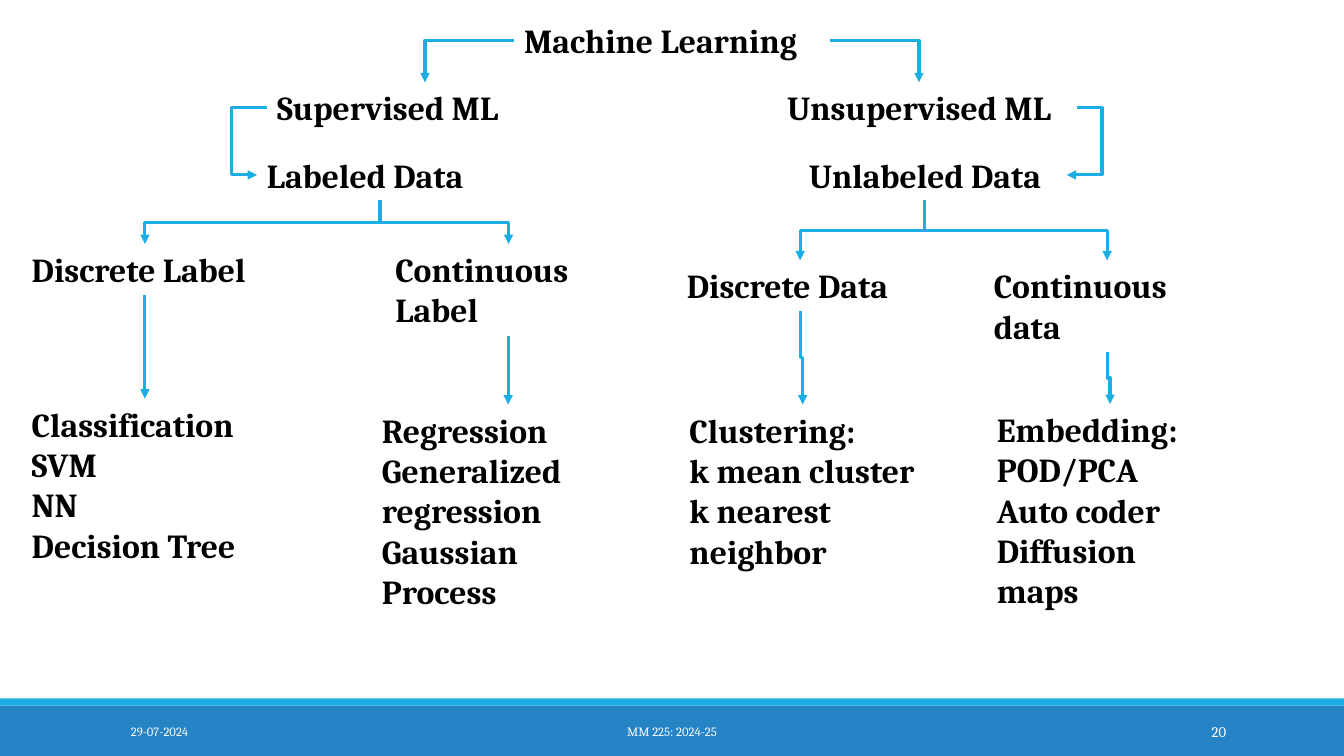
"""Build the slide that maps the branches of machine learning."""
import dataclasses
import enum

import lxml.etree
import pptx
import pptx.dml.color
import pptx.enum.shapes
import pptx.enum.text
import pptx.oxml.ns
import pptx.shapes.autoshape
import pptx.shapes.connector
import pptx.slide
import pptx.util

SLIDE_WIDTH = pptx.util.Inches(13.33)
SLIDE_HEIGHT = pptx.util.Inches(7.5)
COLUMN = SLIDE_WIDTH / 160
ROW = SLIDE_HEIGHT / 90
ELBOW_REACH = 3 * COLUMN

BLACK = pptx.dml.color.RGBColor(0x00, 0x00, 0x00)
WHITE = pptx.dml.color.RGBColor(0xFF, 0xFF, 0xFF)
BLUE = pptx.dml.color.RGBColor(0x26, 0x83, 0xC6)
CYAN = pptx.dml.color.RGBColor(0x1C, 0xAD, 0xE4)

ALIGN = pptx.enum.text.PP_ALIGN
ANCHOR = pptx.enum.text.MSO_ANCHOR
AUTO_SIZE = pptx.enum.text.MSO_AUTO_SIZE


class Side(enum.IntEnum):
    """Connection sites of a rectangle."""

    TOP = 0
    LEFT = 1
    BOTTOM = 2
    RIGHT = 3


@dataclasses.dataclass(frozen=True)
class Area:
    """A rectangle in grid columns and rows."""

    column: float
    row: float
    columns: float
    rows: float

    def lengths(self) -> tuple[int, int, int, int]:
        """Return left, top, width and height."""
        return (
            round(self.column * COLUMN),
            round(self.row * ROW),
            round(self.columns * COLUMN),
            round(self.rows * ROW),
        )


@dataclasses.dataclass(frozen=True)
class Label:
    """A block of text and its format."""

    lines: tuple[str, ...]
    area: Area
    align: ALIGN = ALIGN.LEFT
    size: float = 24
    bold: bool = True
    color: pptx.dml.color.RGBColor = BLACK
    anchor: ANCHOR = ANCHOR.TOP
    auto_size: AUTO_SIZE = AUTO_SIZE.SHAPE_TO_FIT_TEXT


@dataclasses.dataclass(frozen=True)
class Link:
    """An elbow arrow between the sides of two topics."""

    source: str
    source_side: Side
    target: str
    target_side: Side


def footer(text: str, column: float, columns: float, align: ALIGN, size: float) -> Label:
    """Describe one footer entry."""
    area = Area(column, 84.7, columns, 4.8)
    return Label((text,), area, align, size, False, WHITE, ANCHOR.MIDDLE, AUTO_SIZE.NONE)


BARS = ((Area(0, 84, 160, 6), BLUE), (Area(0, 83.15, 160, 0.85), CYAN))

FOOTERS = (
    footer("29-07-2024", 14.4, 32.4, ALIGN.LEFT, 9),
    footer("MM 225: 2024-25", 48.4, 63.2, ALIGN.CENTER, 9),
    footer("20", 130, 17.15, ALIGN.RIGHT, 10.5),
)

TOPICS = {
    "learning": Label(("Machine Learning",), Area(61.2, 1.8, 37.6, 6.05)),
    "supervised": Label(("Supervised ML",), Area(31.8, 9.8, 37.6, 6.05)),
    "unsupervised": Label(("Unsupervised ML",), Area(90.6, 9.8, 37.6, 6.05), ALIGN.CENTER),
    "labeled": Label(("Labeled Data",), Area(30.6, 17.8, 29.3, 6.05)),
    "unlabeled": Label(("Unlabeled Data",), Area(93.2, 17.8, 33.8, 6.05), ALIGN.CENTER),
    "discrete label": Label(("Discrete Label",), Area(2.6, 29.05, 29.3, 6.05)),
    "continuous label": Label(("Continuous Label",), Area(45.9, 29.05, 29.3, 10.9)),
    "discrete data": Label(("Discrete Data",), Area(80.6, 31, 29.3, 6.05)),
    "continuous data": Label(("Continuous data",), Area(117.15, 31, 29.3, 10.9)),
    "classification": Label(
        ("Classification", "SVM", "NN", "Decision Tree"), Area(2.6, 47.45, 29.3, 20.6)
    ),
    "regression": Label(
        ("Regression", "Generalized regression", "Gaussian Process"),
        Area(44.3, 48.15, 32.4, 25.45),
    ),
    "clustering": Label(
        ("Clustering:", "k mean cluster", "k nearest neighbor"),
        Area(80.9, 48.15, 29.3, 25.45),
    ),
    "embedding": Label(
        ("Embedding:", "POD/PCA", "Auto coder", "Diffusion maps"),
        Area(117.5, 48.1, 29.3, 25.45),
    ),
}

DESCENTS = (
    ("labeled", "discrete label"),
    ("labeled", "continuous label"),
    ("unlabeled", "discrete data"),
    ("unlabeled", "continuous data"),
    ("discrete label", "classification"),
    ("continuous label", "regression"),
    ("discrete data", "clustering"),
    ("continuous data", "embedding"),
)

LINKS = (
    Link("learning", Side.LEFT, "supervised", Side.TOP),
    Link("learning", Side.RIGHT, "unsupervised", Side.TOP),
    Link("supervised", Side.LEFT, "labeled", Side.LEFT),
    Link("unsupervised", Side.RIGHT, "unlabeled", Side.RIGHT),
    *(Link(source, Side.BOTTOM, target, Side.TOP) for source, target in DESCENTS),
)


def draw_bar(slide: pptx.slide.Slide, area: Area, color: pptx.dml.color.RGBColor) -> None:
    """Draw a plain footer band."""
    shape = slide.shapes.add_shape(pptx.enum.shapes.MSO_SHAPE.RECTANGLE, *area.lengths())
    shape.shadow.inherit = False
    shape.fill.solid()
    shape.fill.fore_color.rgb = color
    shape.line.fill.background()


def draw_label(slide: pptx.slide.Slide, label: Label) -> pptx.shapes.autoshape.Shape:
    """Draw a text box with one paragraph per line."""
    shape = slide.shapes.add_textbox(*label.area.lengths())
    frame = shape.text_frame
    frame_format = {
        "text": "\n".join(label.lines),
        "word_wrap": True,
        "auto_size": label.auto_size,
        "vertical_anchor": label.anchor,
    }
    for name, value in frame_format.items():
        setattr(frame, name, value)
    font_format = {"name": "Cambria", "size": pptx.util.Pt(label.size), "bold": label.bold}
    for paragraph in frame.paragraphs:
        paragraph.alignment = label.align
        font = paragraph.runs[0].font
        for name, value in font_format.items():
            setattr(font, name, value)
        font.color.rgb = label.color
    return shape


def route(connector: pptx.shapes.connector.Connector, link: Link) -> None:
    """Bend the connector to leave and enter by the sides of its link."""
    begin_x, end_x = connector.begin_x, connector.end_x
    properties = connector.element.spPr
    geometry = properties.find(pptx.oxml.ns.qn("a:prstGeom"))
    if link.source_side == Side.BOTTOM:
        width, height = connector.width, connector.height
        position = {
            "left": connector.left + (width - height) // 2,
            "top": connector.top + (height - width) // 2,
            "width": height,
            "height": width,
        }
        for name, value in position.items():
            setattr(connector, name, value)
        rightward = end_x > begin_x
        turn = {"rot": "16200000" if rightward else "5400000", "flipH": str(int(rightward))}
        for name, value in turn.items():
            properties.xfrm.set(name, value)
    elif link.target_side == Side.TOP:
        geometry.set("prst", "bentConnector2")
    else:
        leftward = link.source_side == Side.LEFT
        bend = min(begin_x, end_x) - ELBOW_REACH if leftward else max(begin_x, end_x) + ELBOW_REACH
        share = round(100000 * (bend - begin_x) / (end_x - begin_x))
        adjustments = geometry.get_or_add_avLst()
        lxml.etree.SubElement(
            adjustments, pptx.oxml.ns.qn("a:gd"), name="adj1", fmla=f"val {share}"
        )


def draw_link(
    slide: pptx.slide.Slide, link: Link, shapes: dict[str, pptx.shapes.autoshape.Shape]
) -> None:
    """Draw an elbow arrow joined to two topics."""
    connector = slide.shapes.add_connector(pptx.enum.shapes.MSO_CONNECTOR.ELBOW, 0, 0, 0, 0)
    connector.begin_connect(shapes[link.source], link.source_side.value)
    connector.end_connect(shapes[link.target], link.target_side.value)
    route(connector, link)
    connector.line.color.rgb = CYAN
    connector.line.width = pptx.util.Pt(2.25)
    properties = connector.element.spPr
    outline = properties.find(pptx.oxml.ns.qn("a:ln"))
    lxml.etree.SubElement(outline, pptx.oxml.ns.qn("a:tailEnd"), type="triangle")
    lxml.etree.SubElement(properties, pptx.oxml.ns.qn("a:effectLst"))


def main() -> None:
    """Build and save the presentation."""
    presentation = pptx.Presentation()
    presentation.slide_width = SLIDE_WIDTH
    presentation.slide_height = SLIDE_HEIGHT
    slide = presentation.slides.add_slide(presentation.slide_layouts[6])
    for area, color in BARS:
        draw_bar(slide, area, color)
    for label in FOOTERS:
        draw_label(slide, label)
    shapes = {name: draw_label(slide, label) for name, label in TOPICS.items()}
    for link in LINKS:
        draw_link(slide, link, shapes)
    presentation.save("out.pptx")


if __name__ == "__main__":
    main()
